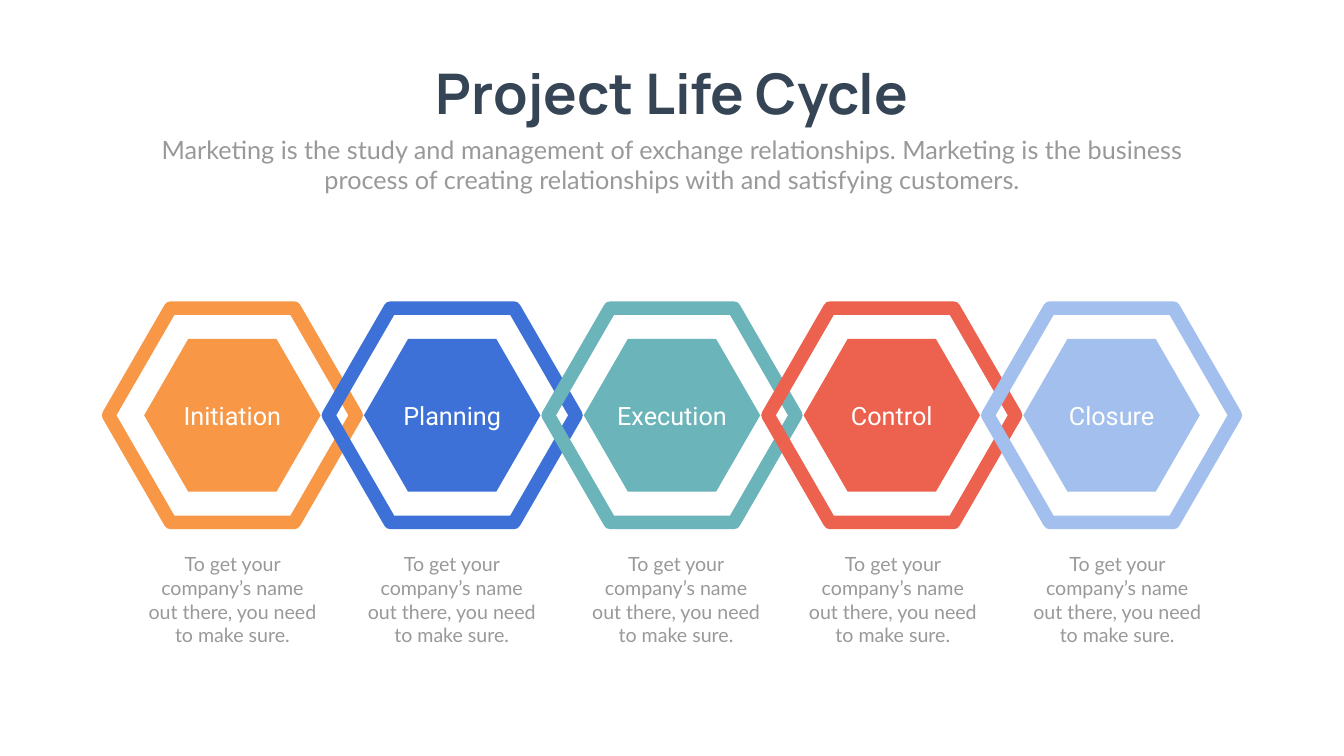
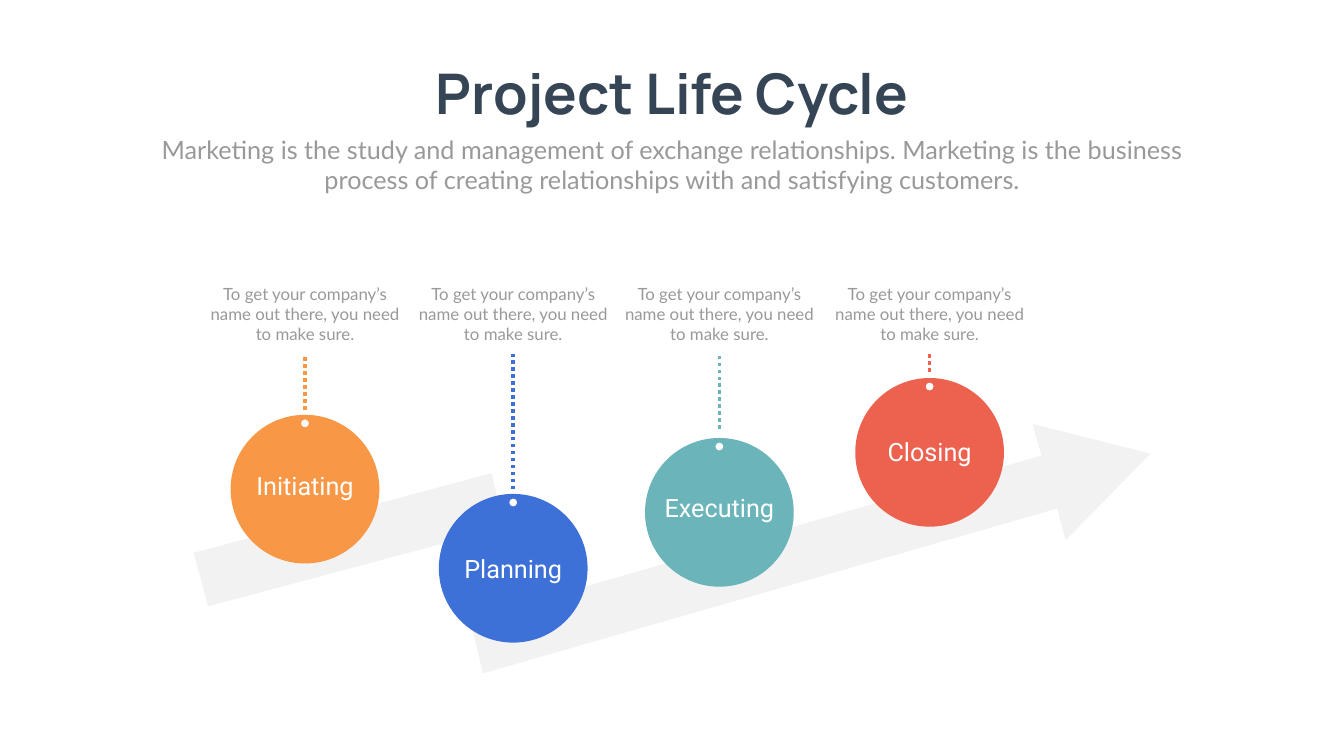
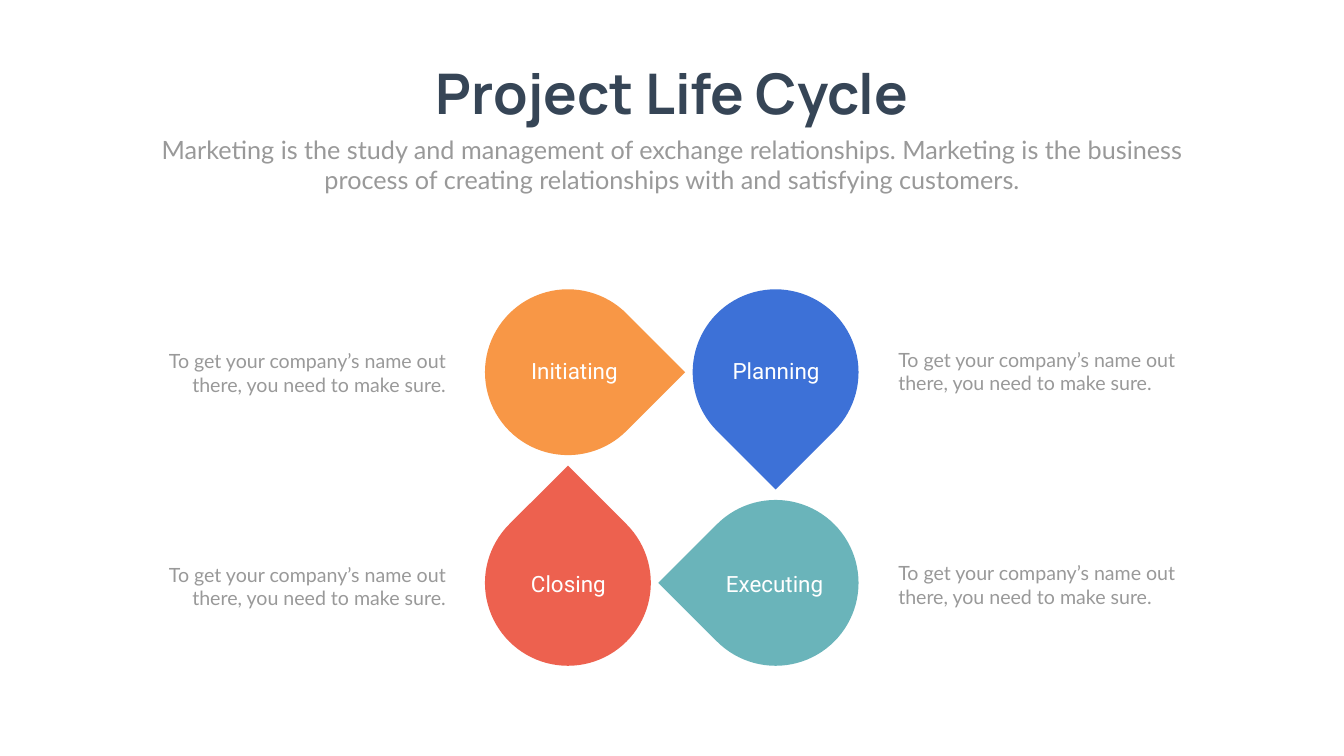
import collections
import math

import pptx
import pptx.dml.color
import pptx.enum.dml
import pptx.enum.shapes
import pptx.enum.text
import pptx.oxml.ns
import pptx.util
from lxml import etree

Inches = pptx.util.Inches
Align = pptx.enum.text.PP_ALIGN
qn = pptx.oxml.ns.qn
Box = collections.namedtuple("Box", "left top width height")
Style = collections.namedtuple("Style", "font size color bold", defaults=(False,))

ORANGE, BLUE, TEAL, RED, SKY = "F89746", "3D71D7", "6AB4BA", "ED614F", "A2BFED"
BAND, GREY, NAVY, WHITE = "F2F2F2", "999999", "364556", "FFFFFF"
TITLE = Style("Manrope", 80, NAVY, True)
SUBTITLE = Style("Lato", 36, GREY)
NOTE = Style("Lato", 28, GREY)
SMALL_NOTE = Style("Lato", 24, GREY)
LABEL = Style("Roboto", 36, WHITE)
SMALL_LABEL = Style("Roboto", 32, WHITE)
LABEL_WIDTH = 2.95

NOTE_TEXT = "To get your company’s name out there, you need to make sure."
SUBTITLE_TEXT = (
    "Marketing is the study and management of exchange relationships. "
    "Marketing is the business process of creating relationships with "
    "and satisfying customers."
)


def rgb(code):
    """Turn a hex string into a colour."""
    return pptx.dml.color.RGBColor.from_string(code)


def add_text(slide, box, text, style, align=Align.CENTER, wrap=True):
    """Place a one-paragraph text box that grows with its text."""
    frame = slide.shapes.add_textbox(*map(Inches, box)).text_frame
    frame.word_wrap = wrap
    frame.auto_size = pptx.enum.text.MSO_AUTO_SIZE.SHAPE_TO_FIT_TEXT
    paragraph = frame.paragraphs[0]
    paragraph.alignment = align
    run = paragraph.add_run()
    run.text = text
    run.font.name = style.font
    run.font.size = pptx.util.Pt(style.size)
    run.font.bold = style.bold
    run.font.color.rgb = rgb(style.color)


def paint(shape, color):
    """Give a shape a flat fill without line or shadow."""
    shape.shadow.inherit = False
    shape.fill.solid()
    shape.fill.fore_color.rgb = rgb(color)
    shape.line.fill.background()


def add_outline(slide, color, *contours):
    """Draw contours of one-point lines and three-point curves; later ones are holes."""
    builder = None
    for (start,), *segments in contours:
        start = [Inches(v) for v in start]
        if builder is None:
            builder = slide.shapes.build_freeform(*start)
        else:
            builder.move_to(*start)
        points = [(Inches(x), Inches(y)) for segment in segments for x, y in segment]
        builder.add_line_segments(points, close=True)
    outline = builder.convert_to_shape()
    lines = iter(list(outline._element.iter(qn("a:lnTo"))))
    for _, *segments in contours:
        for segment in segments:
            first, *others = [next(lines) for _ in segment]
            if others:
                first.tag = qn("a:cubicBezTo")
            for other in others:
                first.append(other[0])
                other.getparent().remove(other)
    paint(outline, color)


def polygon(points):
    """Return a contour of straight lines."""
    return [[point] for point in points]


def hexagon(x, y, radius):
    """Return the corners of a regular hexagon with flat top."""
    angles = [math.pi / 3 * i for i in range(6)]
    return [(x + radius * math.cos(a), y + radius * math.sin(a)) for a in angles]


def circle(x, y, radius):
    """Return a contour of four curves, starting at the top."""
    bend = 0.5523
    contour = [[(x, y - radius)]]
    for dx, dy in ((0, -1), (1, 0), (0, 1), (-1, 0)):
        arc = ((dx - dy * bend, dy + dx * bend), (dx * bend - dy, dy * bend + dx), (-dy, dx))
        contour.append([(x + radius * u, y + radius * v) for u, v in arc])
    return contour


def toward(start, end, share):
    """Return the point that lies the given share of the way to the end."""
    return tuple(s + (e - s) * share for s, e in zip(start, end))


def round_corners(corners, trim):
    """Return a contour whose corners are short curves."""
    contour = []
    for i, corner in enumerate(corners):
        before, after = corners[i - 1], corners[(i + 1) % len(corners)]
        start = toward(corner, before, trim / math.dist(corner, before))
        end = toward(corner, after, trim / math.dist(corner, after))
        contour.append([start])
        contour.append([toward(start, corner, 2 / 3), toward(end, corner, 2 / 3), end])
    return contour


def add_dotted_line(slide, x, start, end, color):
    """Draw a vertical dotted line."""
    line = slide.shapes.add_connector(
        pptx.enum.shapes.MSO_CONNECTOR.STRAIGHT,
        Inches(x), Inches(start), Inches(x), Inches(end),
    )
    line.line.color.rgb = rgb(color)
    line.line.width = pptx.util.Pt(5)
    line.line.dash_style = pptx.enum.dml.MSO_LINE.ROUND_DOT
    etree.SubElement(line._element.spPr, qn("a:effectLst"))


def add_heading(slide, box):
    """Place the title and the subtitle under it."""
    title_left = box.left + (box.width - 9.95) / 2
    add_text(slide, Box(title_left, box.top, 9.95, 1.45),
             "Project Life Cycle", TITLE, wrap=False)
    add_text(slide, Box(box.left, box.top + 1.49, box.width, 1.31),
             SUBTITLE_TEXT, SUBTITLE)


def add_hexagon_chain(slide, box):
    """Draw five interlocked hexagon rings with labels and notes."""
    phases = [
        ("Initiation", ORANGE, 0.82), ("Planning", BLUE, 5.17),
        ("Execution", TEAL, 9.62), ("Control", RED, 13.92),
        ("Closure", SKY, 18.37),
    ]
    outer, inner, core, pitch = 2.61, 2.3, 1.75, 4.36
    middle = box.top + 2.26
    centers = [box.left + 2.59 + i * pitch for i in range(len(phases))]
    for center, (_, color, _) in zip(centers, phases):
        rim = round_corners(hexagon(center, middle, outer), 0.08)
        add_outline(slide, color, rim, polygon(hexagon(center, middle, inner)[::-1]))
        add_outline(slide, color, polygon(hexagon(center, middle, core)))
    for center, (phase, _, _) in zip(centers, phases):
        add_text(slide, Box(center - LABEL_WIDTH / 2, middle - 0.35, LABEL_WIDTH, 0.71),
                 phase, LABEL)
    for _, _, note_left in phases:
        add_text(slide, Box(box.left + note_left, box.top + 4.93, 3.54, 1.99),
                 NOTE_TEXT, NOTE)


def add_rising_arrow(slide, box):
    """Draw the broken arrow with four pinned circles and their notes."""
    arrow = [
        (18.98, 3.43), (16.64, 2.84), (16.82, 3.47), (6.54, 6.42), (5.91, 3.82),
        (0, 5.4), (0.29, 6.46), (5.11, 5.17), (5.74, 7.79), (17.13, 4.52),
        (17.3, 5.15),
    ]
    add_outline(slide, BAND, polygon((box.left + x, box.top + y) for x, y in arrow))
    stages = [
        ("Initiating", ORANGE, 2.21, 2.66, 1.05, 0.1),
        ("Planning", BLUE, 6.34, 4.23, 1.12, 0.09),
        ("Executing", TEAL, 10.43, 3.12, 1.03, 0.18),
        ("Closing", RED, 14.6, 1.93, 1.11, 0.12),
    ]
    radius, note_width = 2.95 / 2, 4.16
    for _, color, x, y, _, _ in reversed(stages):
        center, top = box.left + x, box.top + y
        add_outline(slide, color, circle(center, top + radius, radius),
                    circle(center, top + 0.17, 0.08))
    for _, color, x, y, _, gap in stages:
        add_dotted_line(slide, box.left + x, box.top + y - gap, box.top + 1.46, color)
    for stage, _, x, y, label_drop, _ in stages:
        add_text(slide, Box(box.left + x - LABEL_WIDTH / 2, box.top + y + label_drop,
                            LABEL_WIDTH, 0.71), stage, LABEL)
    for _, _, x, _, _, _ in stages:
        add_text(slide, Box(box.left + x - note_width / 2, box.top, note_width, 1.31),
                 NOTE_TEXT, SMALL_NOTE)


def add_drop_cycle(slide, box):
    """Draw four teardrops pointing clockwise, with notes on both sides."""
    stages = [
        ("Initiating", ORANGE, 0, 0, 0.3), ("Planning", BLUE, 1, 0, 0.18),
        ("Executing", TEAL, 1, 1, 0.15), ("Closing", RED, 0, 1, 0.18),
    ]
    size, note_width = 3.29, 5.9
    for i, (stage, color, column, row, label_shift) in enumerate(stages):
        left = box.left + 6.58 + 4.12 * column
        top = box.top + 4.18 * row
        drop = slide.shapes.add_shape(
            pptx.enum.shapes.MSO_SHAPE.TEAR,
            *map(Inches, (left, top, size, size)),
        )
        drop.rotation = 45 + 90 * i
        paint(drop, color)
        add_text(slide, Box(left + label_shift, top + 1.3 + 0.05 * row, LABEL_WIDTH, 0.64),
                 stage, SMALL_LABEL)
        note_left = box.left + (box.width - note_width) * column
        note_top = top + 1.14 - 0.03 * column + 0.05 * row
        add_text(slide, Box(note_left, note_top, note_width, 1.04), NOTE_TEXT, NOTE,
                 Align.LEFT if column else Align.RIGHT)


def main():
    """Build the three slides and save them."""
    deck = pptx.Presentation()
    deck.slide_width, deck.slide_height = Inches(26.66), Inches(15)
    regions = [
        (add_hexagon_chain, Box(2.02, 5.98, 22.62, 6.92)),
        (add_rising_arrow, Box(3.84, 5.57, 18.98, 7.79)),
        (add_drop_cycle, Box(3.04, 5.74, 20.58, 7.47)),
    ]
    for add_region, box in regions:
        slide = deck.slides.add_slide(deck.slide_layouts[6])
        add_heading(slide, Box(2.92, 1.12, 20.82, 2.8))
        add_region(slide, box)
    deck.save("out.pptx")


if __name__ == "__main__":
    main()
